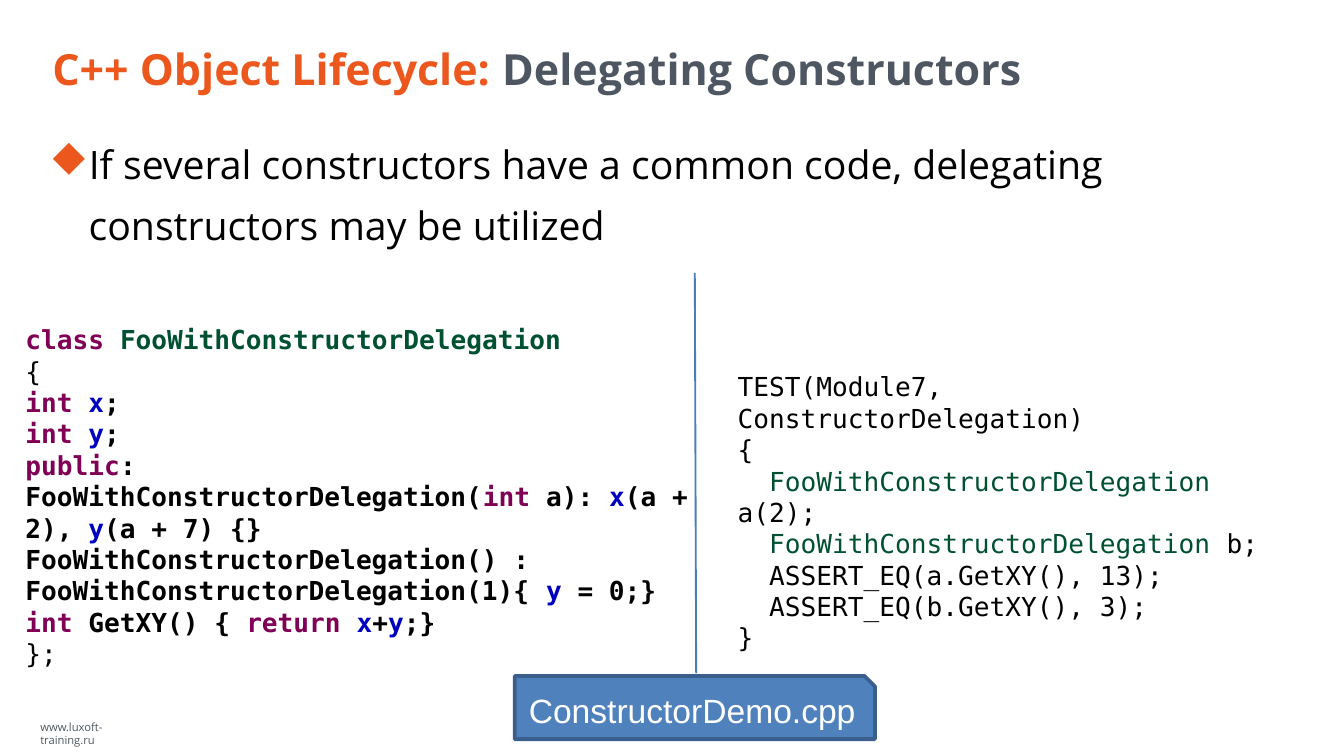
"""Build the slide on delegating constructors in C++."""
from lxml import etree
from pptx import Presentation
from pptx import util as u
from pptx.dml.color import RGBColor
from pptx.enum import shapes, text
from pptx.oxml import ns

ORANGE, GREY, BLACK, WHITE = "EB571C", "4E5761", "000000", "FFFFFF"
KEYWORD, TYPE, FIELD = "7F0055", "005032", "0000C0"
SANS, MONO = "Open Sans", "DejaVu Sans Mono"
CLASS_NAME = "FooWithConstructorDelegation"

FOOTER = [[("www.luxoft-training.ru", GREY)]]
TITLE = [[("C++ Object Lifecycle: ", ORANGE), ("Delegating Constructors", GREY)]]
STATEMENT = [[("If several constructors have a common code, delegating "
               "constructors may be utilized", BLACK)]]
CLASS_CODE = [
    [("class ", KEYWORD), (CLASS_NAME, TYPE)],
    [("{", BLACK)],
    [("int ", KEYWORD), ("x", FIELD), (";", BLACK)],
    [("int ", KEYWORD), ("y", FIELD), (";", BLACK)],
    [("public", KEYWORD), (":", BLACK)],
    [(CLASS_NAME + "(", BLACK), ("int", KEYWORD), (" a): ", BLACK), ("x", FIELD),
     ("(a + 2), ", BLACK), ("y", FIELD), ("(a + 7) {}", BLACK)],
    [(f"{CLASS_NAME}() : {CLASS_NAME}(1){{ ", BLACK), ("y", FIELD), (" = 0;}", BLACK)],
    [("int ", KEYWORD), ("GetXY() { ", BLACK), ("return ", KEYWORD), ("x", FIELD),
     ("+", BLACK), ("y", FIELD), (";}", BLACK)],
    [("};", BLACK)],
]
PLAIN_LINES = ("{", "};")
TEST_CODE = [
    [("TEST(Module7, ConstructorDelegation)", BLACK)],
    [("{", BLACK)],
    [("  ", BLACK), (CLASS_NAME, TYPE), (" a(2);", BLACK)],
    [("  ", BLACK), (CLASS_NAME, TYPE), (" b;", BLACK)],
    [("  ASSERT_EQ(a.GetXY(), 13);", BLACK)],
    [("  ASSERT_EQ(b.GetXY(), 3);", BLACK)],
    [("}", BLACK)],
]
DEMO_FILE = [[("ConstructorDemo.cpp", WHITE)]]

NARROW, WIDE = (0.08, 0.04), (0.1, 0.05)
TEXT_BOXES = [
    (FOOTER, (0.22, 5.32, 1.02, 0.17), NARROW, {"name": SANS, "size": 6}),
    (TITLE, (0.31, 0.3, 9.39, 0.41), NARROW, {"name": SANS, "size": 23, "bold": True}),
    (CLASS_CODE, (0.09, 2.36, 5.22, 2.66), WIDE, {"name": MONO, "size": 14, "bold": True}),
    (TEST_CODE, (5.39, 2.71, 4.31, 1.73), WIDE, {"name": MONO, "size": 14}),
    (STATEMENT, (0.28, 0.9, 9.39, 1.12), NARROW, {"name": SANS, "size": 21}),
]
DIVIDER = (5.17, 2.03, 5.18, 5.01)
DEMO_BOX = (3.83, 5.03, 2.68, 0.47)


def color(value):
    return RGBColor.from_string(value)


def inches(values):
    return [u.Inches(value) for value in values]


def add_bullet(paragraph):
    properties = paragraph._p.get_or_add_pPr()
    properties.set("marL", str(u.Inches(0.3)))
    properties.set("indent", str(u.Inches(-0.29)))
    bullet_color = etree.SubElement(properties, ns.qn("a:buClr"))
    etree.SubElement(bullet_color, ns.qn("a:srgbClr"), val=ORANGE)
    etree.SubElement(properties, ns.qn("a:buFont"), typeface="Wingdings", charset="2")
    etree.SubElement(properties, ns.qn("a:buChar"), char="u")
    paragraph.line_spacing = 1.3


def write(shape, content, insets, font):
    frame = shape.text_frame
    horizontal, vertical = inches(insets)
    settings = {
        "word_wrap": content is not FOOTER,
        "auto_size": (text.MSO_AUTO_SIZE.SHAPE_TO_FIT_TEXT if content is FOOTER
                      else text.MSO_AUTO_SIZE.NONE),
        "margin_left": horizontal, "margin_right": horizontal,
        "margin_top": vertical, "margin_bottom": vertical,
        "vertical_anchor": (text.MSO_ANCHOR.MIDDLE if content in (TITLE, DEMO_FILE)
                            else text.MSO_ANCHOR.TOP),
    }
    for name, value in settings.items():
        setattr(frame, name, value)
    for index, line in enumerate(content):
        paragraph = frame.add_paragraph() if index else frame.paragraphs[0]
        if content is STATEMENT:
            add_bullet(paragraph)
        for words, shade in line:
            run = paragraph.add_run()
            run.text = words
            styles = {**font, "size": u.Pt(font["size"])}
            if words in PLAIN_LINES:
                styles["bold"] = False
            for name, value in styles.items():
                setattr(run.font, name, value)
            run.font.color.rgb = color(shade)


def set_line(shape, shade, width):
    shape.line.color.rgb = color(shade)
    shape.line.width = u.Pt(width)


def main():
    presentation = Presentation()
    presentation.slide_width = u.Inches(10)
    presentation.slide_height = u.Inches(10 * 9 / 16)
    slide = presentation.slides.add_slide(presentation.slide_layouts[6])

    for content, place, insets, font in TEXT_BOXES:
        write(slide.shapes.add_textbox(*inches(place)), content, insets, font)

    divider = slide.shapes.add_connector(shapes.MSO_CONNECTOR.STRAIGHT, *inches(DIVIDER))
    set_line(divider, "4A7EBB", 1)
    etree.SubElement(divider._element.spPr, ns.qn("a:effectLst"))

    demo = slide.shapes.add_shape(shapes.MSO_SHAPE.SNIP_1_RECTANGLE, *inches(DEMO_BOX))
    demo.shadow.inherit = False
    demo.fill.solid()
    demo.fill.fore_color.rgb = color("4F81BD")
    set_line(demo, "3A5F8C", 2)
    write(demo, DEMO_FILE, WIDE, {"name": "Arial", "size": 18})
    demo.text_frame.paragraphs[0].alignment = text.PP_ALIGN.CENTER

    presentation.save("out.pptx")


if __name__ == "__main__":
    main()
